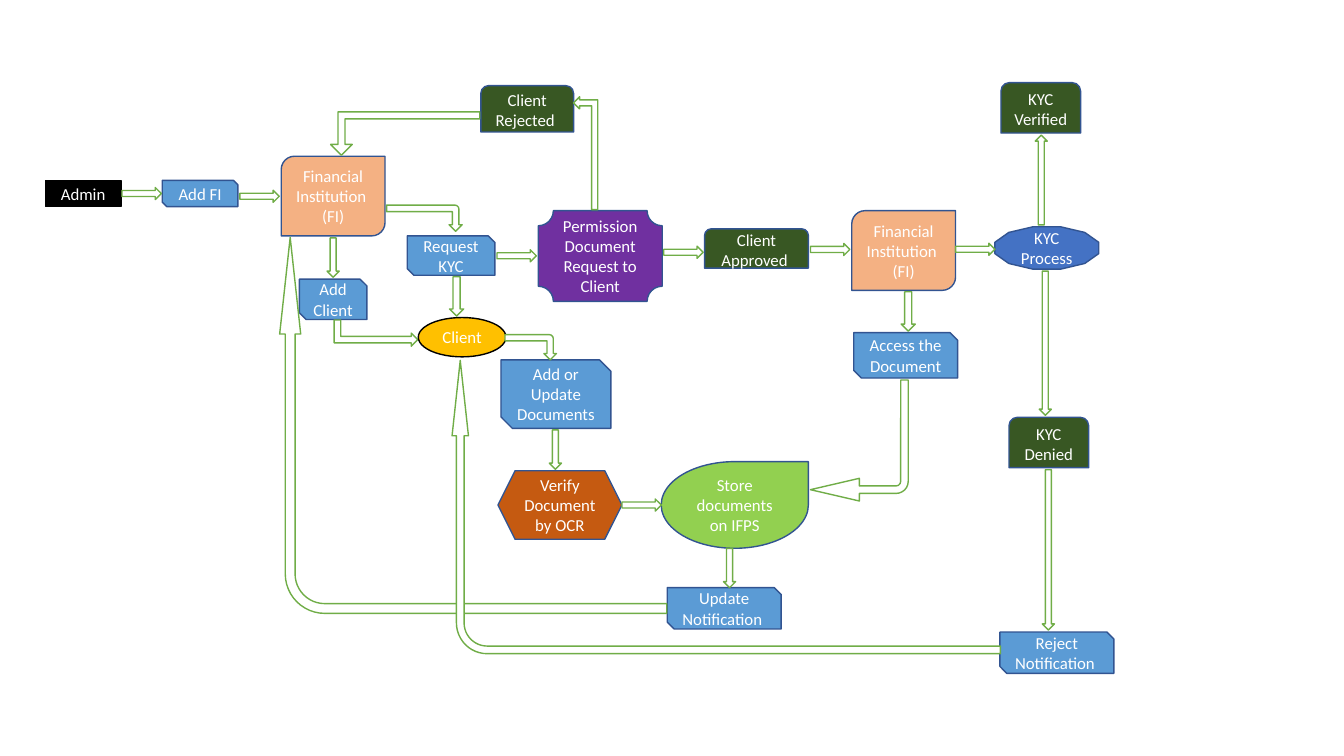
from collections import namedtuple
from pptx import Presentation
from pptx import util as u
from pptx.dml import color
from pptx.enum import shapes, text

SHAPE = shapes.MSO_SHAPE
CELL = u.Inches(0.1)
COLUMNS, ROWS = 133.33, 75
Box = namedtuple("Box", "left top")

COLORS = {
    "black": "000000", "white": "FFFFFF", "blue": "5B9BD5", "edge": "325491",
    "peach": "F4B183", "gold": "FFC000", "rust": "C55A11", "lime": "92D050",
    "purple": "7030A0", "forest": "385723", "royal": "4472C4", "arrow": "70AD47",
}
STYLES = {
    "admin": (SHAPE.RECTANGLE, "black", "black"),
    "step": (SHAPE.SNIP_2_DIAG_RECTANGLE, "blue", "edge"),
    "institution": (SHAPE.ROUND_2_DIAG_RECTANGLE, "peach", "edge"),
    "client": (SHAPE.OVAL, "gold", "black"),
    "check": (SHAPE.HEXAGON, "rust", "edge"),
    "store": (SHAPE.TEAR, "lime", "edge"),
    "permission": (SHAPE.PLAQUE, "purple", "edge"),
    "outcome": (SHAPE.ROUND_2_SAME_RECTANGLE, "forest", "edge"),
    "process": (SHAPE.DODECAGON, "royal", "edge"),
    "arrow": (None, "white", "arrow"),
}
INSTITUTION = "Financial Institution \v(FI)"
ROUNDED_TURN = (0.25, 0.25, 0.25, 0.154)
LONG_TURN = (0.026, 0.028, 0.257, 0.105)


def rgb(name):
    return color.RGBColor.from_string(COLORS[name])


def draw(page, preset, style, left, top, width, height):
    shape = page.shapes.add_shape(
        preset, int(left), int(top), int(width), int(height))
    _, fill, line = STYLES[style]
    shape.shadow.inherit = False
    shape.fill.solid()
    shape.fill.fore_color.rgb = rgb(fill)
    shape.line.color.rgb = rgb(line)
    shape.line.width = u.Pt(1)
    return shape


def write(shape, words, size=12, font="Calibri", ink="white"):
    frame = shape.text_frame
    frame.word_wrap = True
    frame.vertical_anchor = text.MSO_ANCHOR.MIDDLE
    para = frame.paragraphs[0]
    para.text = words
    para.alignment = text.PP_ALIGN.CENTER
    for span in para.runs:
        span.font.size = u.Pt(size)
        span.font.name = font
        span.font.color.rgb = rgb(ink)


def place(box, col, row, width, height):
    return ((box.left + col) * CELL, (box.top + row) * CELL,
            width * CELL, height * CELL)


def node(page, box, style, words, *cells):
    shape = draw(page, STYLES[style][0], style, *place(box, *cells))
    write(shape, words)
    return shape


def turn(page, box, preset, rotation, *cells, bends=()):
    shape = draw(page, preset, "arrow", *place(box, *cells))
    shape.rotation = rotation
    for index, bend in enumerate(bends):
        shape.adjustments[index] = bend


def span_between(near, near_size, far):
    gap = far - near - near_size
    length = 3.9 * CELL if gap < 5 * CELL else gap - 0.4 * CELL
    return near + near_size + (gap - length) / 2, length


def link_right(page, source, target, shift=0):
    left, length = span_between(source.left, source.width, target.left)
    middle = (source.top + source.height / 2 + target.top + target.height / 2) / 2
    thick = 1.2 * CELL
    draw(page, SHAPE.RIGHT_ARROW, "arrow",
         left, middle + shift * CELL - thick / 2, length, thick)


def link_down(page, upper, lower, shift=0, thick=1.2, preset=SHAPE.DOWN_ARROW):
    top, length = span_between(upper.top, upper.height, lower.top)
    middle = (upper.left + upper.width / 2 + lower.left + lower.width / 2) / 2
    draw(page, preset, "arrow", middle + (shift - thick / 2) * CELL, top,
         thick * CELL, length)


def onboarding(page, box):
    admin = node(page, box, "admin", "Admin", 0, 2.4, 7.5, 2.6)
    add = node(page, box, "step", "Add FI", 11.6, 2.4, 7.5, 2.6)
    institution = node(page, box, "institution", INSTITUTION, 23.4, 0, 10.3, 7.9)
    enrol = node(page, box, "step", "Add Client", 25.2, 12.2, 6.7, 4)
    link_right(page, admin, add)
    link_right(page, add, institution, shift=0.15)
    link_down(page, institution, enrol)
    turn(page, box, SHAPE.BENT_ARROW, 90, 36.3, 2.4, 2.6, 7.5, bends=ROUNDED_TURN)
    turn(page, box, SHAPE.BENT_UP_ARROW, 90, 31.5, 13.4, 2.6, 8.3)


def documents(page, box):
    request = node(page, box, "step", "Request KYC", 0, 0, 8.7, 3.9)
    client = node(page, box, "client", "Client", 1.1, 8.1, 8.7, 3.9)
    upload = node(page, box, "step", "Add or Update Documents", 9.3, 12.3, 10.9, 6.8)
    verify = node(page, box, "check", "Verify Document by OCR", 9, 23.3, 12.3, 6.8)
    store = node(page, box, "store", "Store documents on IFPS", 25.2, 22.4, 14.6, 8.6)
    notice = node(page, box, "step", "Update Notification ", 25.8, 34.9, 11.3, 4.1)
    link_down(page, request, client, thick=1.4)
    link_down(page, upload, verify, shift=-0.25)
    link_right(page, verify, store)
    link_down(page, store, notice)
    turn(page, box, SHAPE.BENT_ARROW, 90, 11, 8.5, 2.5, 5.1, bends=ROUNDED_TURN)
    turn(page, box, SHAPE.BENT_ARROW, 270, -12.1, -0.4, 37.3, 38.4, bends=LONG_TURN)
    return request


def permission(page, box, request):
    ask = node(page, box, "permission", "Permission Document Request to Client",
               5.7, 12.4, 12.3, 9)
    approved = node(page, box, "outcome", "Client Approved ", 22.2, 14.2, 10.3, 3.9)
    node(page, box, "outcome", "Client Rejected ", 0, 0, 9.2, 4.6)
    institution = node(page, box, "institution", INSTITUTION, 36.8, 12.4, 10.3, 7.9)
    access = node(page, box, "step", "Access the Document", 37, 24.5, 10.3, 4.5)
    link_right(page, request, ask)
    link_right(page, ask, approved)
    link_right(page, approved, institution)
    link_down(page, institution, access, shift=0.35, thick=1.4)
    turn(page, box, SHAPE.BENT_UP_ARROW, 180, -14.9, 2.6, 14.8, 4.3,
         bends=(0.161, 0.25, 0.25))
    turn(page, box, SHAPE.BENT_UP_ARROW, 270, 4.8, 5.5, 11.2, 2.4)
    turn(page, box, SHAPE.BENT_ARROW, 180, 32.7, 29.2, 9.7, 12,
         bends=(0.077, 0.116, 0.5, 0.123))
    return institution


def decision(page, box, institution):
    process = node(page, box, "process", "KYC Process", 0, 14.3, 10.3, 4.2)
    verified = node(page, box, "outcome", "KYC Verified", 0.6, 0, 7.9, 5)
    denied = node(page, box, "outcome", "KYC Denied", 1.4, 33.2, 7.9, 5)
    reject = node(page, box, "step", "Reject Notification ", 0.5, 54.5, 11.3, 4.1)
    link_right(page, institution, process)
    link_down(page, verified, process, shift=-0.25, preset=SHAPE.UP_ARROW)
    link_down(page, process, denied, shift=-0.25)
    link_down(page, denied, reject, shift=-0.45)
    turn(page, box, SHAPE.BENT_ARROW, 270, -41.2, 14.9, 29.1, 54.4, bends=LONG_TURN)


def kyc_flow(deck):
    page = deck.slides.add_slide(deck.slide_layouts[6])
    onboarding(page, Box(4.5, 15.5))
    request = documents(page, Box(40.4, 23.4))
    institution = permission(page, Box(47.7, 8.5), request)
    decision(page, Box(98.7, 8.2), institution)


deck = Presentation()
deck.slide_width = int(COLUMNS * CELL)
deck.slide_height = int(ROWS * CELL)
kyc_flow(deck)
deck.save("out.pptx")
